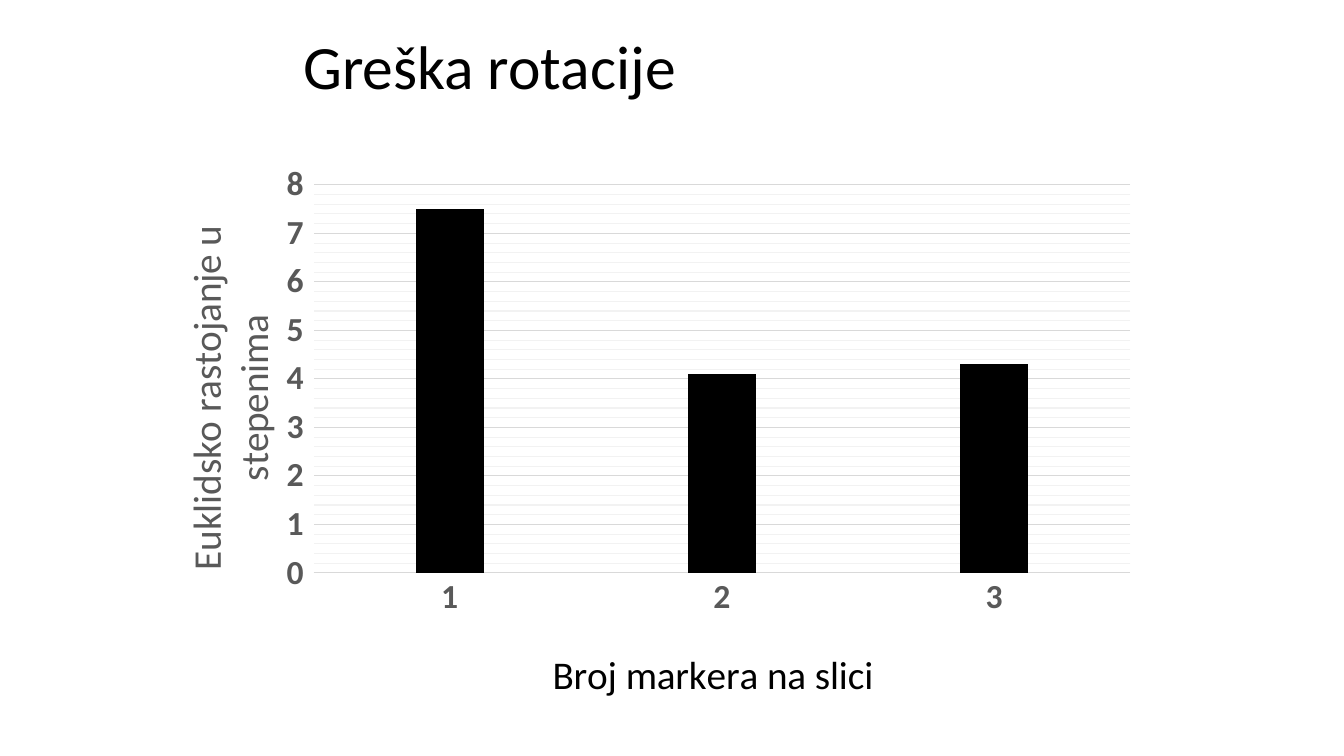
from typing import NamedTuple

from lxml import etree
from pptx import Presentation
from pptx.chart.data import CategoryChartData
from pptx.dml.color import RGBColor
from pptx.enum.chart import XL_CHART_TYPE as ChartType, XL_TICK_MARK as TickMark
from pptx.oxml.ns import qn
from pptx.util import Inches, Pt

FONT = "Calibri"
BLACK = RGBColor(0x00, 0x00, 0x00)
GREY = RGBColor(0x59, 0x59, 0x59)
GRID = RGBColor(0xD9, 0xD9, 0xD9)
MINOR_GRID = RGBColor(0xF2, 0xF2, 0xF2)


class AxisTitle(NamedTuple):
    text: str
    color: RGBColor
    x: float  # left edge as a share of the chart width
    y: float  # top edge as a share of the chart height


MARKERS = AxisTitle("Broj markera na slici", BLACK, 0.4, 0.87)
DISTANCE = AxisTitle("Euklidsko rastojanje u stepenima", GREY, 0.03, 0.12)


def style_font(font, size: float, color: RGBColor, bold: bool = False) -> None:
    font.name, font.size, font.bold = FONT, Pt(size), bold
    font.color.rgb = color


def write_text(frame, text: str, *, size: float, color: RGBColor, bold: bool = False) -> None:
    run = frame.paragraphs[0].add_run()
    run.text = text
    style_font(run.font, size, color, bold)


def style_line(line, color: RGBColor) -> None:
    line.color.rgb = color
    line.width = Pt(0.75)


def add_minor_gridlines(axis, color: RGBColor) -> None:
    axis.has_minor_gridlines = True
    gridlines = axis._element.find(qn("c:minorGridlines"))
    properties = etree.SubElement(gridlines, qn("c:spPr"))
    line = etree.SubElement(properties, qn("a:ln"), w=str(Pt(0.75)))
    fill = etree.SubElement(line, qn("a:solidFill"))
    etree.SubElement(fill, qn("a:srgbClr"), val=str(color))


def place(element, **settings) -> None:
    """Give a chart part a manual layout."""
    layout = element.find(qn("c:layout"))
    if layout is None:
        layout = etree.Element(qn("c:layout"))
        text = element.find(qn("c:tx"))
        element.insert(0 if text is None else element.index(text) + 1, layout)
    for old in list(layout):
        layout.remove(old)
    manual = etree.SubElement(layout, qn("c:manualLayout"))
    for name, value in settings.items():
        etree.SubElement(manual, qn(f"c:{name}")).set("val", str(value))


def style_axis(axis, title: AxisTitle) -> None:
    style_font(axis.tick_labels.font, 24, GREY, bold=True)
    write_text(axis.axis_title.text_frame, title.text, size=28, color=title.color)
    place(axis.axis_title._element, xMode="edge", yMode="edge", x=title.x, y=title.y)


prs = Presentation()
prs.slide_width, prs.slide_height = Inches(13.33), Inches(7.5)
slide = prs.slides.add_slide(prs.slide_layouts[6])

# Heading
heading = slide.shapes.add_textbox(Inches(2.91), Inches(0.23), Inches(7.55), Inches(0.84))
heading.text_frame.word_wrap = True
write_text(heading.text_frame, "Greška rotacije", size=44, color=BLACK)

# Rotation error by number of markers
errors = CategoryChartData()
errors.categories = ["1", "2", "3"]
errors.add_series("Series 1", (7.5, 4.1, 4.3))
chart = slide.shapes.add_chart(
    ChartType.COLUMN_CLUSTERED, Inches(1.41), Inches(1.5), Inches(10), Inches(5.58), errors
).chart
style_font(chart.font, 10, BLACK)
chart.has_title = False
chart.has_legend = False
place(chart._chartSpace.chart.plotArea, layoutTarget="inner", xMode="edge", yMode="edge",
      x=0.17, y=0.06, w=0.81, h=0.69)

columns = chart.plots[0]
columns.gap_width = 300
columns.vary_by_categories = False
column_fill = columns.series[0].format.fill
column_fill.solid()
column_fill.fore_color.rgb = BLACK

# Axes
marker_axis, error_axis = chart.category_axis, chart.value_axis
style_axis(marker_axis, MARKERS)
marker_axis.major_tick_mark = TickMark.NONE
style_line(marker_axis.format.line, GRID)

style_axis(error_axis, DISTANCE)
title_body = error_axis.axis_title.text_frame._txBody.bodyPr
title_body.set("rot", "-5400000")
title_body.set("vert", "horz")
error_axis.minimum_scale, error_axis.maximum_scale = 0, 8
error_axis.major_unit, error_axis.minor_unit = 1, 0.2
error_axis.major_tick_mark = TickMark.OUTSIDE
error_axis.format.line.fill.background()
style_line(error_axis.major_gridlines.format.line, GRID)
add_minor_gridlines(error_axis, MINOR_GRID)

prs.save("out.pptx")
